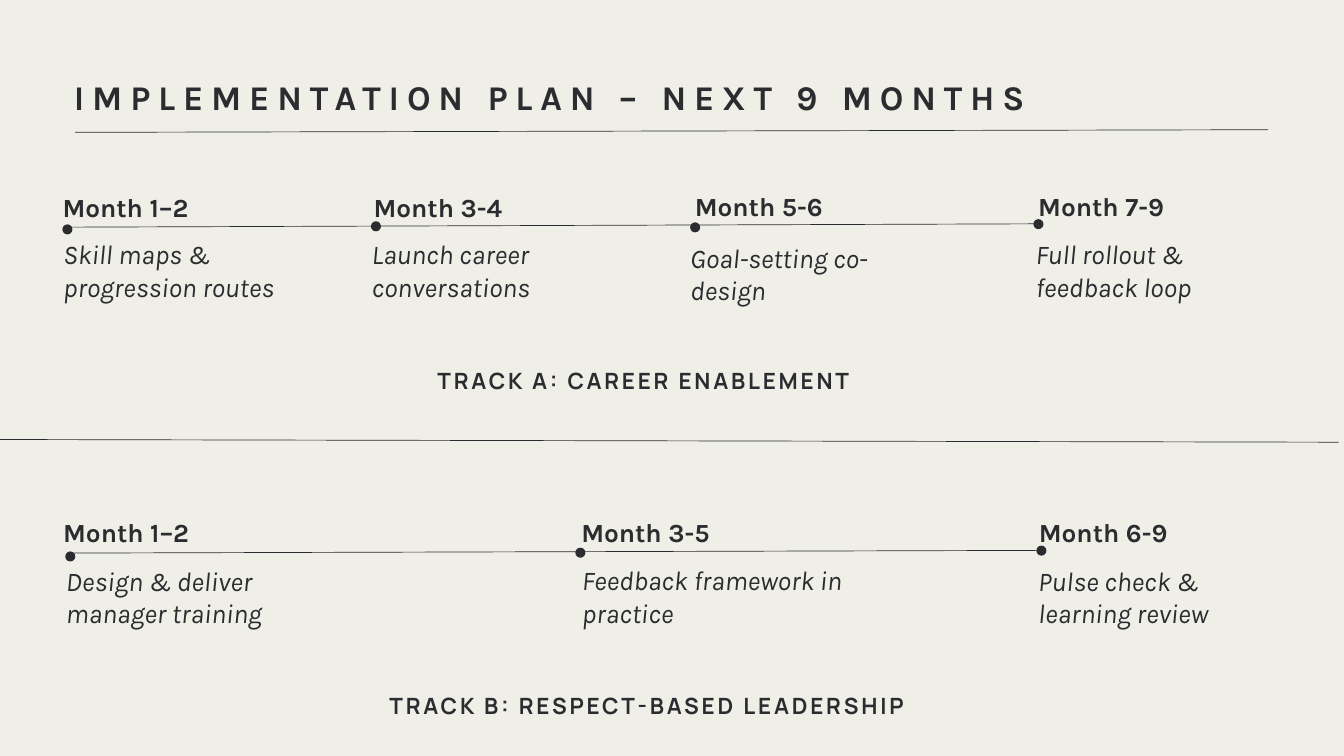
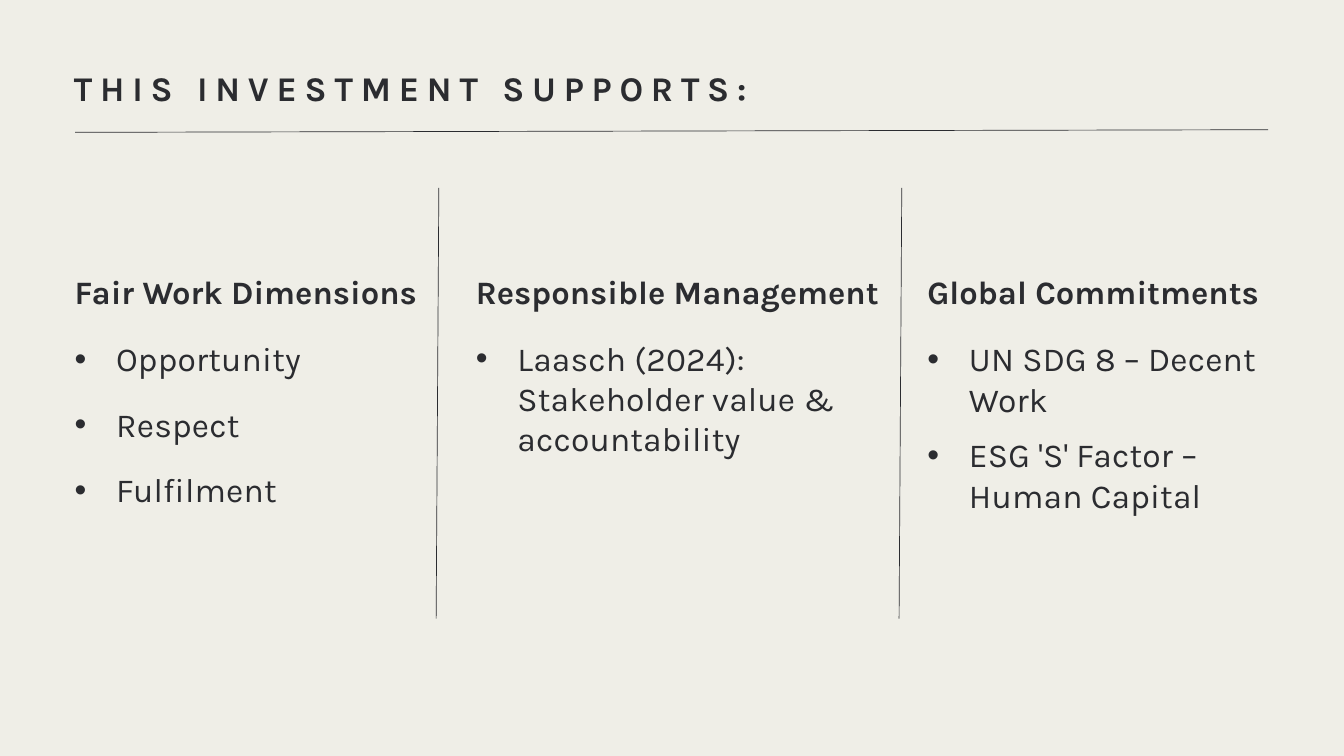
from collections import namedtuple

from lxml.etree import SubElement
from pptx import Presentation
from pptx.dml.color import RGBColor
from pptx.enum.shapes import MSO_CONNECTOR, MSO_SHAPE
from pptx.enum.text import MSO_AUTO_SIZE, PP_ALIGN
from pptx.oxml.ns import qn
from pptx.util import Pt

COLORS = {"paper": "EFEEE7", "ink": "2B2C30"}
BODY_FONT, CAPTION_FONT = "Karla", "Manrope"
DOT_SIZE = 10.8
BULLET_INDENT = 44.6

# Offsets from the corner of the box that holds the part
Milestone = namedtuple("Milestone", "label label_at dot_at note note_at note_width")
Track = namedtuple("Track", "left top milestones line caption caption_left")
Column = namedtuple("Column", "left top width heading bullets bullet_width pitch")

TRACKS = [
    Track(67, 204, [
        Milestone("Month 1–2", (0, 1.2), (5.2, 41.8),
                  "Skill maps & progression routes", (0.7, 50.9), 280),
        Milestone("Month 3-4", (333.3, 1.2), (335.8, 38.5),
                  "Launch career conversations", (331.2, 50.9), 219.6),
        Milestone("Month 5-6", (677.5, -0.2), (677.8, 39.6),
                  "Goal-setting co-design", (672.4, 54.5), 196.6),
        Milestone("Month 7-9", (1045.4, -0.2), (1045.6, 36.2),
                  "Full rollout & feedback loop", (1042.5, 50.9), 219.6),
    ], (3.6, 39.4, 1049, 35.8), "TRACK A: CAREER ENABLEMENT", -16.6),
    Track(67, 553, [
        Milestone("Month 1–2", (0.7, 0.7), (8.3, 43.2),
                  "Design & deliver manager training", (3.6, 51.8), 276.5),
        Milestone("Month 3-5", (555.8, 0), (554.8, 39.2),
                  "Feedback framework in practice", (556.5, 51.1), 312.5),
        Milestone("Month 6-9", (1046.1, 0), (1048.8, 37),
                  "Pulse check & learning review", (1045.4, 51.8), 219.6),
    ], (7.2, 39.6, 1052.6, 36.7), "TRACK B: RESPECT-BASED LEADERSHIP", -13),
]

COLUMNS = [
    Column(79.9, 291.6, 370, "Fair Work Dimensions",
           ["Opportunity", "Respect", "Fulfilment"], 296, 70.2),
    Column(509.8, 290.9, 466.6, "Responsible Management",
           ["Laasch (2024): Stakeholder value & accountability"], 426.2, 0),
    Column(993.6, 291.6, 370, "Global Commitments",
           ["UN SDG 8 – Decent Work", "ESG 'S' Factor – Human Capital"], 375, 102.9),
]


def color(name):
    return RGBColor.from_string(COLORS[name])


def add_text(page, left, top, width, height, text, size, font=BODY_FONT,
             bold=False, italic=False, spacing=0, leading=None):
    box = page.shapes.add_textbox(Pt(left), Pt(top), Pt(width), Pt(height))
    frame = box.text_frame
    frame.margin_left = frame.margin_right = frame.margin_top = frame.margin_bottom = 0
    frame.word_wrap = True
    frame.auto_size = MSO_AUTO_SIZE.SHAPE_TO_FIT_TEXT
    frame.text = text
    para = frame.paragraphs[0]
    if leading:
        para.line_spacing = Pt(leading)
    span = para.runs[0]
    span.font.name = font
    span.font.size = Pt(size)
    span.font.bold = bold
    span.font.italic = italic
    span.font.color.rgb = color("ink")
    if spacing:
        span._r.get_or_add_rPr().set("spc", str(round(spacing * 100)))
    return para


def add_rule(page, x1, y1, x2, y2):
    rule = page.shapes.add_connector(MSO_CONNECTOR.STRAIGHT, Pt(x1), Pt(y1), Pt(x2), Pt(y2))
    rule.line.color.rgb = color("ink")
    rule.line.width = Pt(0.75)
    SubElement(rule._element.spPr, qn("a:effectLst"))


def add_dot(page, center_x, center_y):
    dot = page.shapes.add_shape(MSO_SHAPE.OVAL, Pt(center_x - DOT_SIZE / 2),
                                Pt(center_y - DOT_SIZE / 2), Pt(DOT_SIZE), Pt(DOT_SIZE))
    dot.shadow.inherit = False
    dot.fill.solid()
    dot.fill.fore_color.rgb = color("ink")
    dot.line.fill.background()


def add_page(deck, title, title_top, leading=None):
    """Blank page with background, title and the rule below it."""
    page = deck.slides.add_slide(deck.slide_layouts[6])
    page.background.fill.solid()
    page.background.fill.fore_color.rgb = color("paper")
    add_text(page, 79.2, title_top, 1278, 46, title, 37.1,
             bold=True, spacing=8.4, leading=leading)
    add_rule(page, 80.6, 141.8, 1358.6, 139)
    return page


def add_track(page, track):
    left, top = track.left, track.top
    # Timeline
    x1, y1, x2, y2 = track.line
    add_rule(page, left + x1, top + y1, left + x2, top + y2)
    # Milestones
    for stone in track.milestones:
        x, y = stone.label_at
        add_text(page, left + x, top + y, 219.6, 32.4, stone.label, 28,
                 bold=True, leading=33.6)
        x, y = stone.dot_at
        add_dot(page, left + x, top + y)
        x, y = stone.note_at
        add_text(page, left + x, top + y, stone.note_width, 68.4, stone.note, 29,
                 italic=True, leading=34.8)
    # Caption
    caption = add_text(page, left + track.caption_left, top + 139, 1278, 66.5, track.caption,
                       24, font=CAPTION_FONT, bold=True, spacing=3, leading=78.7)
    caption.alignment = PP_ALIGN.CENTER


def add_bullet(para):
    props = para._p.get_or_add_pPr()
    props.set("marL", str(Pt(BULLET_INDENT)))
    props.set("indent", str(-Pt(BULLET_INDENT)))
    SubElement(props, qn("a:buFont"), typeface="Arial")
    SubElement(props, qn("a:buChar"), char="•")


def add_column(page, column):
    add_text(page, column.left, column.top, column.width, 42.5, column.heading, 35, bold=True)
    for index, bullet in enumerate(column.bullets):
        para = add_text(page, column.left, column.top + 70.8 + index * column.pitch,
                        column.bullet_width, 43.9, bullet, 36, spacing=0.2)
        add_bullet(para)


def build_plan(deck):
    page = add_page(deck, "IMPLEMENTATION PLAN – NEXT 9 MONTHS", 74.2, leading=52)
    for track in TRACKS:
        add_track(page, track)
    # Divider between the tracks
    add_rule(page, 0, 470.9, 1434.2, 473.8)


def build_supports(deck):
    page = add_page(deck, "THIS INVESTMENT SUPPORTS:", 72)
    for column in COLUMNS:
        add_column(page, column)
    # Dividers between the columns
    for x in (470.2, 966.2):
        add_rule(page, x, 201.2, x - 2.9, 662.8)


def main():
    deck = Presentation()
    deck.slide_width, deck.slide_height = Pt(1440), Pt(810)
    build_plan(deck)
    build_supports(deck)
    deck.save("out.pptx")


if __name__ == "__main__":
    main()
